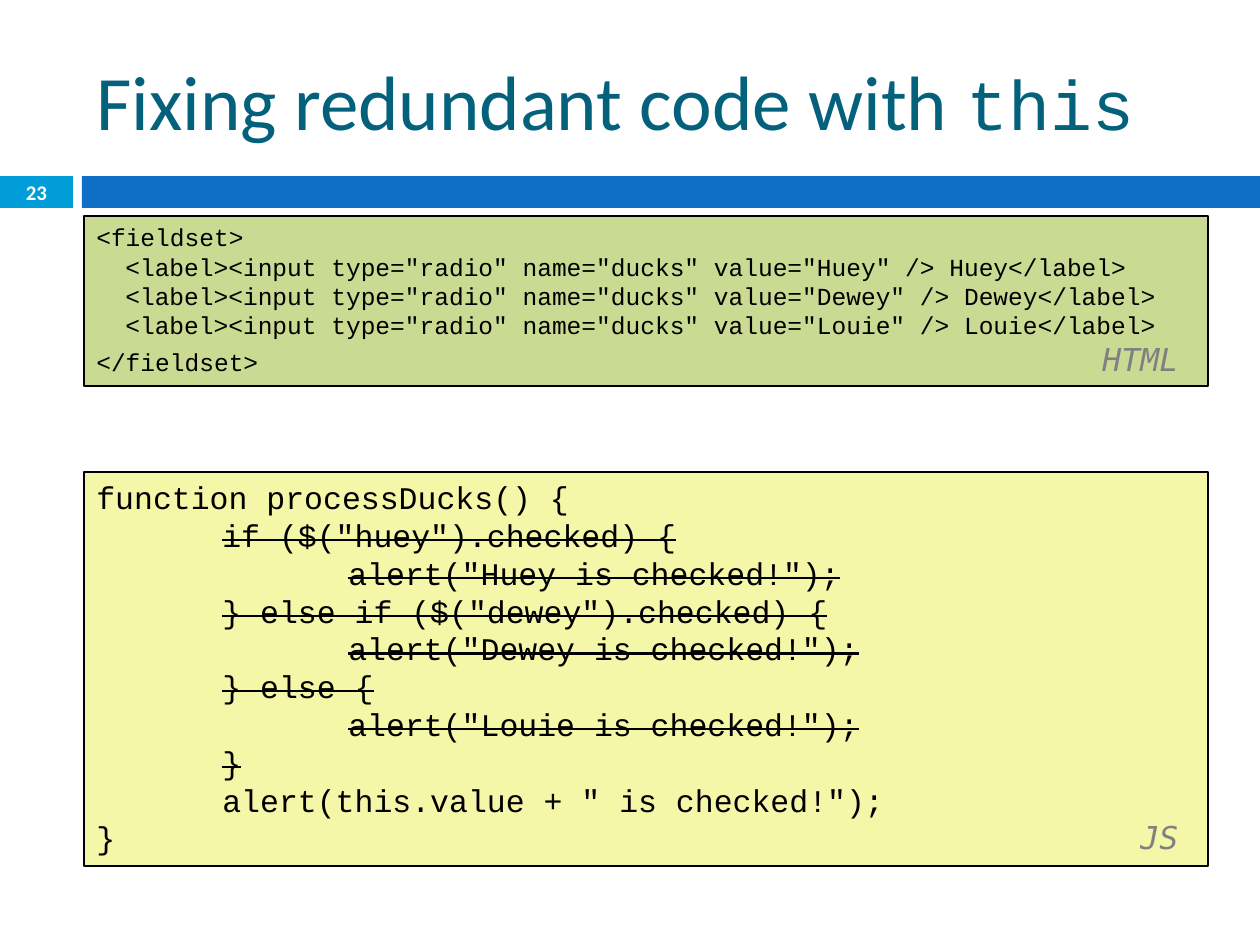
"""Build a slide that shows redundant radio-button code replaced with this."""
from lxml import etree
from pptx import Presentation
from pptx import util as u
from pptx.dml import color
from pptx.enum import shapes, text
from pptx.oxml import ns

PX = 7257
CODE = "Courier New"
TAB_STOP = 1082


def paint(target, value):
    if hasattr(target, "solid"):
        target.solid()
        target = target.fore_color
    target.rgb = color.RGBColor.from_string(value)


def write(paragraph, content, size=18, face=CODE, ink="000000", bold=False, italic=False, strike=False):
    run = paragraph.add_run()
    run.text = content
    font = run.font
    font.size, font.name, font.bold, font.italic = u.Pt(size), face, bold, italic
    paint(font.color, ink)
    if strike:
        run._r.get_or_add_rPr().set("strike", "sngStrike")


presentation = Presentation()
presentation.slide_width, presentation.slide_height = u.Inches(10), u.Inches(7.5)
slide = presentation.slides.add_slide(presentation.slide_layouts[6])

for left, width, fill in [(0, 73, "009DD9"), (82, 1178, "0F6FC6")]:
    bar = slide.shapes.add_shape(shapes.MSO_SHAPE.RECTANGLE, left * PX, 176 * PX, width * PX, 32 * PX)
    bar.shadow.inherit = False
    paint(bar.fill, fill)
    bar.line.fill.background()

title = slide.shapes.add_textbox(84 * PX, 32 * PX, 1124 * PX, 136 * PX).text_frame
title.word_wrap = True
title.vertical_anchor = text.MSO_ANCHOR.MIDDLE
write(title.paragraphs[0], "Fixing redundant code with ", size=44, face="Calibri", ink="04617B")
write(title.paragraphs[0], "this", size=40, ink="04617B")

number = slide.shapes.add_textbox(0, 175 * PX, 73 * PX, 34 * PX).text_frame
number.word_wrap = True
number.vertical_anchor = text.MSO_ANCHOR.MIDDLE
number.paragraphs[0].alignment = text.PP_ALIGN.CENTER
write(number.paragraphs[0], "23", size=11.9, face="Calibri", ink="FFFFFF", bold=True)

html_lines = [(0, "<fieldset>", False)]
for duck in ["Huey", "Dewey", "Louie"]:
    html_lines.append((1, f'<label><input type="radio" name="ducks" value="{duck}" /> {duck}</label>', False))
html_lines.append((0, "</fieldset>", False))

js_lines = [
    (0, "function processDucks() {", False),
    (1, 'if ($("huey").checked) {', True),
    (2, 'alert("Huey is checked!");', True),
    (1, '} else if ($("dewey").checked) {', True),
    (2, 'alert("Dewey is checked!");', True),
    (1, "} else {", True),
    (2, 'alert("Louie is checked!");', True),
    (1, "}", True),
    (1, 'alert(this.value + " is checked!");', False),
    (0, "}", False),
]

panels = [
    (472, 394, "F4F6A8", 18, 126, js_lines, "JS"),
    (216, 170, "C9DA92", 14, 29, html_lines, "HTML"),
]
for top, height, fill, size, indent, lines, language in panels:
    panel = slide.shapes.add_shape(shapes.MSO_SHAPE.RECTANGLE, 84 * PX, top * PX, 1124 * PX, height * PX)
    panel.shadow.inherit = False
    paint(panel.fill, fill)
    paint(panel.line.fill, "000000")
    panel.line.width = u.Pt(1.5)
    frame = panel.text_frame
    frame.word_wrap = True
    frame.vertical_anchor = text.MSO_ANCHOR.TOP
    for index, (level, line, strike) in enumerate(lines):
        paragraph = frame.add_paragraph() if index else frame.paragraphs[0]
        paragraph.alignment = text.PP_ALIGN.LEFT
        properties = paragraph._p.get_or_add_pPr()
        properties.set("marL", str(level * indent * PX))
        write(paragraph, line, size=size, strike=strike)
    tabs = etree.SubElement(properties, ns.qn("a:tabLst"))
    etree.SubElement(tabs, ns.qn("a:tab"), pos=str(TAB_STOP * PX), algn="r")
    write(paragraph, "\t" + language, face="DejaVu Sans Mono", ink="808080", italic=True)

presentation.save("out.pptx")
